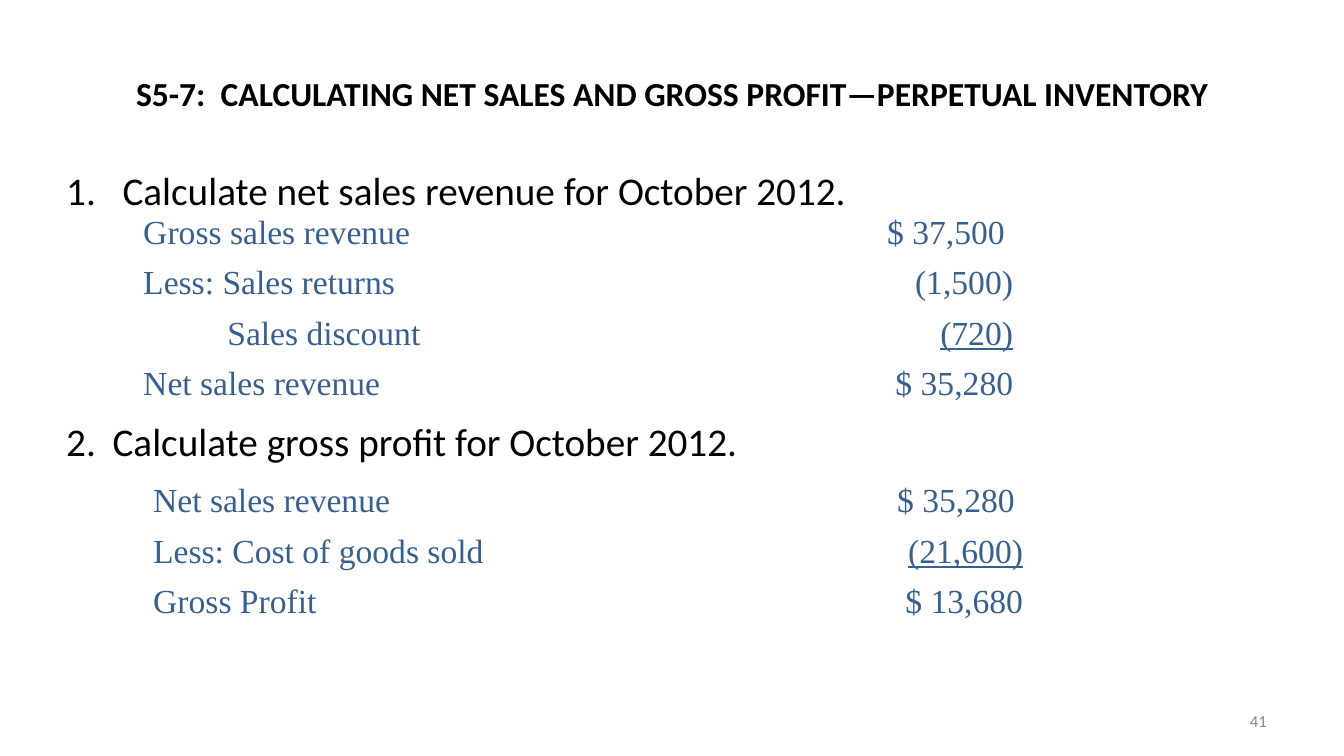
from dataclasses import dataclass

from lxml import etree
from pptx import Presentation
from pptx import util as u
from pptx.dml.color import RGBColor
from pptx.enum import text
from pptx.oxml import ns

BLACK = RGBColor(0x00, 0x00, 0x00)
GREY = RGBColor(0x89, 0x89, 0x89)
BLUE = RGBColor(0x37, 0x60, 0x92)
HEADING_FONT = "Calibri"
TABLE_FONT = "Times New Roman"
COLUMN_WIDTHS = (14.46, 8.12)
ROW_HEIGHT = 1.19
SIDE_MARGIN = 0.33


@dataclass(frozen=True)
class TextBlock:
    words: str
    left: float
    top: float
    width: float
    height: float
    size: int
    color: RGBColor = BLACK
    bold: bool = False
    align: text.PP_ALIGN = text.PP_ALIGN.LEFT
    anchor: text.MSO_ANCHOR = text.MSO_ANCHOR.MIDDLE


@dataclass(frozen=True)
class Question:
    number: int
    indent: float
    block: TextBlock


@dataclass(frozen=True)
class Entry:
    label: str
    amount: str
    underline: bool = False
    label_indent: float = 0
    amount_indent: float = 0


@dataclass(frozen=True)
class Statement:
    left: float
    top: float
    entries: tuple[Entry, ...]


TITLE = TextBlock(
    "S5-7:  CALCULATING NET SALES AND GROSS PROFIT—PERPETUAL INVENTORY",
    1.7, 0.76, 30.48, 3.18, 24, bold=True, align=text.PP_ALIGN.CENTER)
PAGE_NUMBER = TextBlock("41", 24.28, 17.65, 7.9, 1.02, 12, GREY,
                        align=text.PP_ALIGN.RIGHT)
QUESTIONS = (
    Question(1, 1.42, TextBlock(
        "Calculate net sales revenue for October 2012.",
        1.42, 4.19, 30.48, 1.3, 28, anchor=text.MSO_ANCHOR.TOP)),
    Question(2, 1.17, TextBlock(
        "Calculate gross profit for October 2012.",
        1.42, 10.53, 30.48, 1.3, 28, anchor=text.MSO_ANCHOR.TOP)),
)
STATEMENTS = (
    Statement(3.28, 5.28, (
        Entry("Gross sales revenue", "$ 37,500", amount_indent=0.21),
        Entry("Less: Sales returns", "(1,500)"),
        Entry("Sales discount", "(720)", underline=True, label_indent=2.12),
        Entry("Net sales revenue", "$ 35,280"),
    )),
    Statement(3.53, 12.04, (
        Entry("Net sales revenue", "$ 35,280", amount_indent=0.21),
        Entry("Less: Cost of goods sold", "(21,600)", underline=True),
        Entry("Gross Profit", "$ 13,680"),
    )),
)


def add_run(paragraph, words: str, font_name: str, size: int,
            color: RGBColor, bold: bool = False, underline: bool = False) -> None:
    run = paragraph.add_run()
    run.text = words
    run.font.name = font_name
    run.font.size = u.Pt(size)
    run.font.color.rgb = color
    run.font.bold = bold
    run.font.underline = underline


def add_text(slide, block: TextBlock):
    shape = slide.shapes.add_textbox(u.Cm(block.left), u.Cm(block.top),
                                     u.Cm(block.width), u.Cm(block.height))
    frame = shape.text_frame
    frame.word_wrap = True
    frame.vertical_anchor = block.anchor
    paragraph = frame.paragraphs[0]
    paragraph.alignment = block.align
    add_run(paragraph, block.words, HEADING_FONT, block.size, block.color, block.bold)
    return paragraph


def add_question(slide, question: Question) -> None:
    paragraph = add_text(slide, question.block)
    paragraph.line_spacing = 0.9
    properties = paragraph._p.get_or_add_pPr()
    indent = u.Cm(question.indent)
    properties.set("marL", str(indent))
    properties.set("indent", str(-indent))
    numbering = etree.SubElement(properties, ns.qn("a:buAutoNum"))
    numbering.set("type", "arabicPeriod")
    numbering.set("startAt", str(question.number))


def fill_cell(cell, words: str, align: text.PP_ALIGN, left_indent: float = 0,
              right_indent: float = 0, underline: bool = False) -> None:
    cell.fill.background()
    cell.margin_left = u.Cm(SIDE_MARGIN + left_indent)
    cell.margin_right = u.Cm(SIDE_MARGIN + right_indent)
    paragraph = cell.text_frame.paragraphs[0]
    paragraph.alignment = align
    add_run(paragraph, words, TABLE_FONT, 24, BLUE, underline=underline)


def add_statement(slide, statement: Statement) -> None:
    count = len(statement.entries)
    table = slide.shapes.add_table(
        count, len(COLUMN_WIDTHS), u.Cm(statement.left), u.Cm(statement.top),
        u.Cm(sum(COLUMN_WIDTHS)), u.Cm(ROW_HEIGHT * count)).table
    table.first_row = False
    table.horz_banding = False
    for column, width in zip(table.columns, COLUMN_WIDTHS):
        column.width = u.Cm(width)
    for index, entry in enumerate(statement.entries):
        table.rows[index].height = u.Cm(ROW_HEIGHT)
        fill_cell(table.cell(index, 0), entry.label, text.PP_ALIGN.LEFT,
                  left_indent=entry.label_indent)
        fill_cell(table.cell(index, 1), entry.amount, text.PP_ALIGN.RIGHT,
                  right_indent=entry.amount_indent, underline=entry.underline)


def main() -> None:
    presentation = Presentation()
    presentation.slide_width = u.Cm(33.87)
    presentation.slide_height = u.Cm(19.05)
    slide = presentation.slides.add_slide(presentation.slide_layouts[6])
    add_text(slide, TITLE)
    for question in QUESTIONS:
        add_question(slide, question)
    add_text(slide, PAGE_NUMBER)
    for statement in STATEMENTS:
        add_statement(slide, statement)
    presentation.save("out.pptx")


if __name__ == "__main__":
    main()
